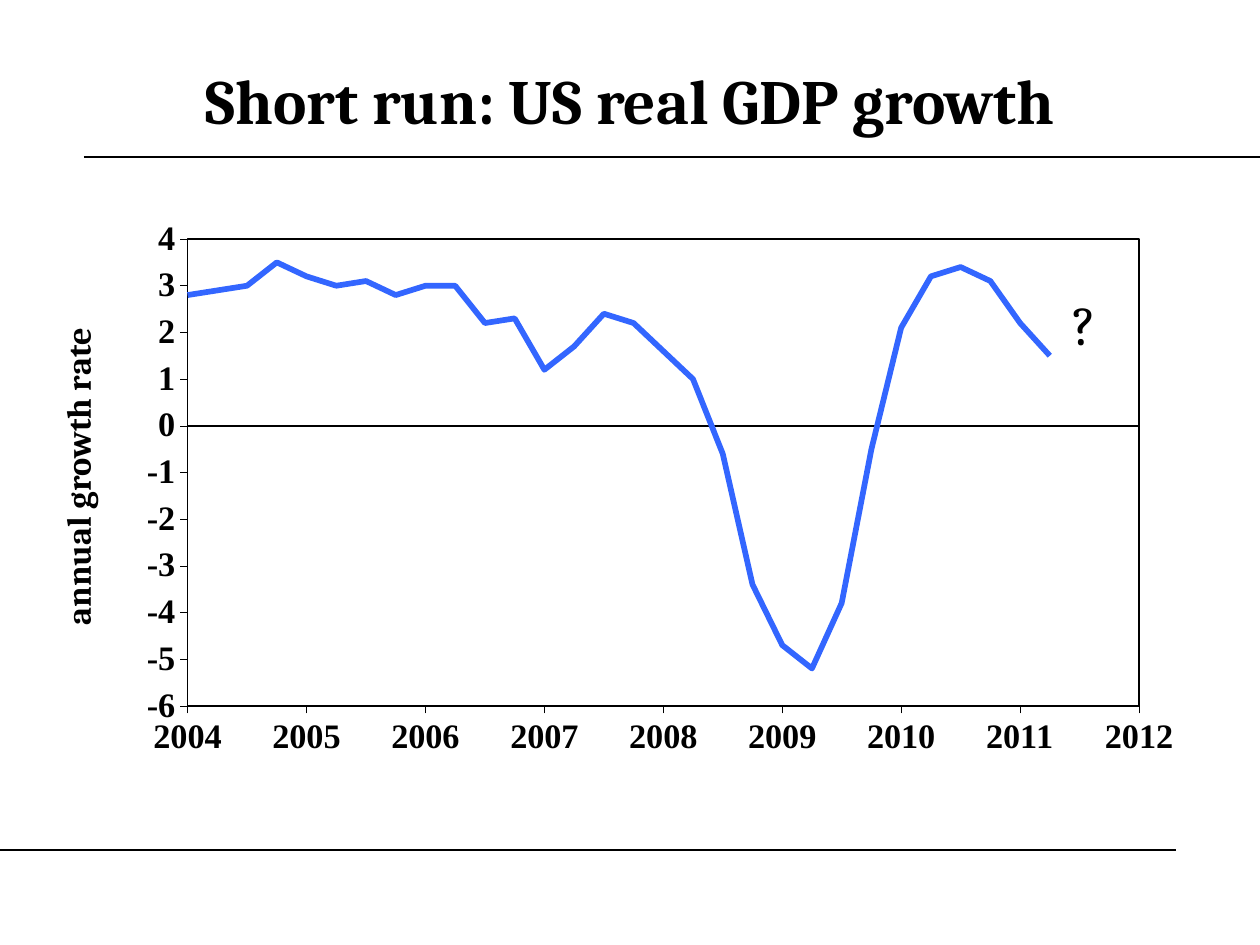
"""Build a slide with a line chart of short-run US real GDP growth."""
from lxml.etree import SubElement
from pptx import Presentation
from pptx.chart.data import XyChartData
from pptx.dml.color import RGBColor
from pptx.enum.chart import XL_AXIS_CROSSES as Crosses, XL_CHART_TYPE as ChartType
from pptx.enum.chart import XL_TICK_LABEL_POSITION as LabelPosition, XL_TICK_MARK as TickMark
from pptx.enum.shapes import MSO_CONNECTOR as Connector
from pptx.enum.text import MSO_ANCHOR as Anchor, PP_ALIGN as Align
from pptx.oxml import parse_xml
from pptx.oxml.ns import nsdecls, qn
from pptx.util import Pt

BLACK = RGBColor(0, 0, 0)
BLUE = RGBColor(0x33, 0x66, 0xFF)
PX = 914400 // 126
GROWTH = [2.8, 2.9, 3, 3.5, 3.2, 3, 3.1, 2.8, 3, 3, 2.2, 2.3, 1.2, 1.7, 2.4,
          2.2, 1.6, 1, -0.6, -3.4, -4.7, -5.2, -3.8, -0.5, 2.1, 3.2, 3.4, 3.1, 2.2, 1.5]
QUARTERS = 34


def style_font(font, name, size, bold):
    font.name = name
    font.size = Pt(size)
    font.bold = bold
    font.color.rgb = BLACK


def manual_layout(**places):
    items = "".join(f'<c:{key} val="{value}"/>' for key, value in places.items())
    return parse_xml(f'<c:layout {nsdecls("c")}><c:manualLayout>{items}</c:manualLayout></c:layout>')


deck = Presentation()
deck.slide_width, deck.slide_height = 1260 * PX, 945 * PX
page = deck.slides.add_slide(deck.slide_layouts[5])

for left, right, height in [(84, 1260, 157), (0, 1176, 850)]:
    rule = page.shapes.add_connector(Connector.STRAIGHT, left * PX, height * PX, right * PX, height * PX)
    rule.line.color.rgb = BLACK
    rule.line.width = Pt(0.75)
    SubElement(rule.element.spPr, qn("a:effectLst"))

title = page.shapes.title
title.left, title.top, title.width, title.height = 63 * PX, 41 * PX, 1134 * PX, 116 * PX
title.text_frame.text = "Short run: US real GDP growth"
title.text_frame.vertical_anchor = Anchor.MIDDLE
para = title.text_frame.paragraphs[0]
para.alignment = Align.CENTER
style_font(para.runs[0].font, "Cambria", 36, True)

data = XyChartData()
unknown = [None] * (QUARTERS - len(GROWTH))
for name, values in [("Series 1", GROWTH + unknown), ("Series 2", [0] * QUARTERS)]:
    series = data.add_series(name)
    for quarter, value in enumerate(values):
        series.add_data_point(2004 + quarter / 4, value)
chart = page.shapes.add_chart(ChartType.XY_SCATTER_LINES_NO_MARKERS, 39 * PX, 195 * PX,
                              1152 * PX, 604 * PX, data).chart
chart.has_legend = False
chart.has_title = False
style_font(chart.font, "Times New Roman", 19.6, True)

plot_area = chart._chartSpace.chart.plotArea
for point in list(plot_area.iter(qn("c:pt"))):
    if point.findtext(qn("c:v")) in ("None", "", None):
        point.getparent().remove(point)

for series, color, width in zip(chart.plots[0].series, (BLUE, BLACK), (3.25, 1.09)):
    series.format.line.color.rgb = color
    series.format.line.width = Pt(width)

for axis, low, high in [(chart.category_axis, 2004, 2012), (chart.value_axis, -6, 4)]:
    axis.minimum_scale, axis.maximum_scale, axis.major_unit = low, high, 1
    axis.has_major_gridlines = False
    axis.major_tick_mark = TickMark.OUTSIDE
    axis.minor_tick_mark = TickMark.NONE
    axis.tick_label_position = LabelPosition.LOW
    axis.tick_labels.number_format = "General"
    axis.tick_labels.number_format_is_linked = False
    axis.crosses = Crosses.MINIMUM
    axis.format.line.color.rgb = BLACK
    axis.format.line.width = Pt(0.27)
    style_font(axis.tick_labels.font, "Times New Roman", 19.6, True)

axis_title = chart.value_axis.axis_title
axis_title.text_frame.text = "annual growth rate"
style_font(axis_title.text_frame.paragraphs[0].runs[0].font, "Cambria", 19.6, True)
title_xml = axis_title._element
body = title_xml.find(".//" + qn("a:bodyPr"))
body.set("rot", "-5400000")
body.set("vert", "horz")
for old in title_xml.findall(qn("c:layout")):
    title_xml.remove(old)
title_xml.find(qn("c:tx")).addnext(manual_layout(xMode="edge", yMode="edge", x=0.01, y=0.21))

for old in plot_area.findall(qn("c:layout")):
    plot_area.remove(old)
plot_area.insert(0, manual_layout(layoutTarget="inner", xMode="edge", yMode="edge",
                                  x=0.129, y=0.073, w=0.826, h=0.773))
plot_area.append(parse_xml(
    f'<c:spPr {nsdecls("c", "a")}><a:noFill/><a:ln w="12700"><a:solidFill>'
    f'<a:srgbClr val="{BLACK}"/></a:solidFill></a:ln></c:spPr>'))

box = page.shapes.add_textbox(1060 * PX, 283 * PX, 53 * PX, 79 * PX)
box.text_frame.word_wrap = True
box.text_frame.text = "?"
style_font(box.text_frame.paragraphs[0].runs[0].font, "Cambria", 32, False)

deck.save("out.pptx")
